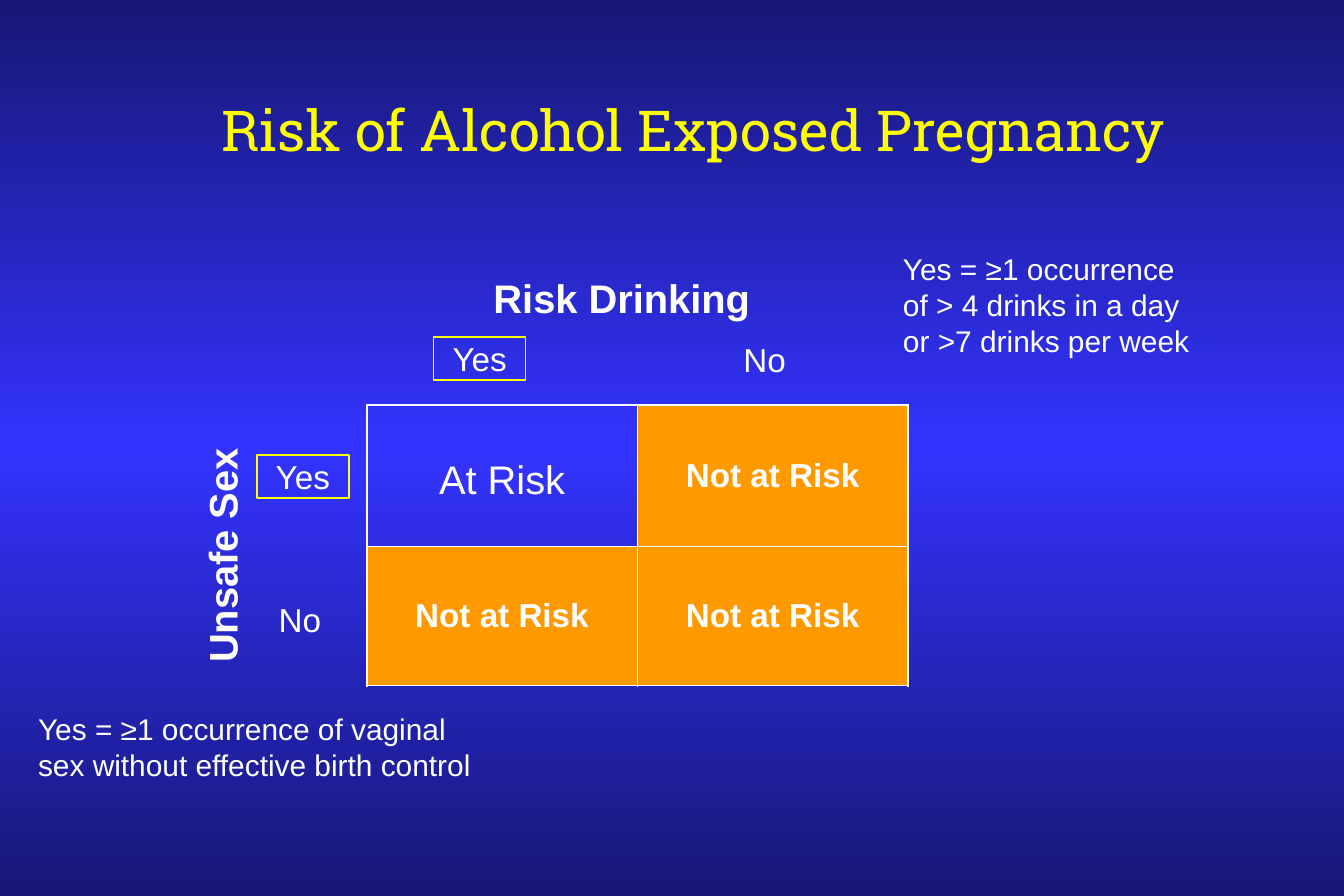
from copy import deepcopy

from pptx import Presentation
from pptx.dml.color import RGBColor
from pptx.enum.shapes import MSO_SHAPE
from pptx.enum.text import MSO_ANCHOR as ANCHOR, PP_ALIGN as ALIGN
from pptx.oxml import parse_xml
from pptx.oxml.ns import nsdecls, qn
from pptx.util import Inches, Pt

NAVY = RGBColor(0x17, 0x17, 0x75)
BLUE = RGBColor(0x33, 0x33, 0xFF)
YELLOW = RGBColor(0xFF, 0xFF, 0x00)
ORANGE = RGBColor(0xFF, 0x99, 0x00)
WHITE = RGBColor(0xFF, 0xFF, 0xFF)


class RiskSlide:
    font = "Arial"
    outer, inner = Pt(1.08), Pt(0.45)

    def __init__(self, prs):
        self.s = prs.slides.add_slide(prs.slide_layouts[6])

    def background(self, edge, middle):
        fill = self.s.background.fill
        fill.gradient()
        fill.gradient_angle = 90
        for stop, color, position in zip(fill.gradient_stops, (edge, middle), (0, 0.5)):
            stop.color.rgb = color
            stop.position = position
        stops = self.s.element.find(".//" + qn("a:gsLst"))
        last = deepcopy(stops[0])
        last.set("pos", "100000")
        stops.append(last)

    def add_lines(self, tf, text, align=ALIGN.CENTER, color=WHITE, **style):
        for i, line in enumerate(text.split("\n")):
            p = tf.paragraphs[0] if i == 0 else tf.add_paragraph()
            p.alignment = align
            r = p.add_run()
            r.text = line
            r.font.color.rgb = color
            for name, value in {"name": self.font, **style}.items():
                setattr(r.font, name, value)

    def text(self, box, text, anchor=ANCHOR.MIDDLE, wrap=False, rotation=0, **style):
        sp = self.s.shapes.add_textbox(*map(Inches, box))
        sp.rotation = rotation
        tf = sp.text_frame
        tf.word_wrap = wrap
        tf.vertical_anchor = anchor
        self.add_lines(tf, text, **style)

    def note(self, box, text):
        self.text(box, text, ANCHOR.TOP, True, align=ALIGN.LEFT, size=Pt(18))

    def framed(self, box, text):
        sp = self.s.shapes.add_shape(MSO_SHAPE.RECTANGLE, *map(Inches, box))
        sp.shadow.inherit = False
        sp.fill.background()
        sp.line.color.rgb = YELLOW
        sp.line.width = Pt(1)
        tf = sp.text_frame
        tf.word_wrap = False
        tf.vertical_anchor = ANCHOR.MIDDLE
        self.add_lines(tf, text, size=Pt(20))

    def border(self, cell, side, width):
        cell._tc.get_or_add_tcPr().append(parse_xml(
            f'<a:{side} {nsdecls("a")} w="{width}"><a:solidFill>'
            f'<a:srgbClr val="{WHITE}"/></a:solidFill></a:{side}>'))

    def matrix(self, box, rows, heights):
        size = len(rows)
        table = self.s.shapes.add_table(size, size, *map(Inches, box)).table
        table.first_row = table.horz_banding = False
        for row, height in zip(table.rows, heights):
            row.height = Inches(height)
        for y, row in enumerate(rows):
            for x, text in enumerate(row):
                cell = table.cell(y, x)
                edges = {"lnL": x == 0, "lnR": x == size - 1,
                         "lnT": y == 0, "lnB": y == size - 1}
                for side, outside in edges.items():
                    self.border(cell, side, self.outer if outside else self.inner)
                cell.vertical_anchor = ANCHOR.MIDDLE
                if text == "At Risk":
                    cell.fill.background()
                    cell.margin_top = Inches(0.13)
                    self.add_lines(cell.text_frame, text, size=Pt(24))
                else:
                    cell.fill.solid()
                    cell.fill.fore_color.rgb = ORANGE
                    self.add_lines(cell.text_frame, text, size=Pt(20), bold=True)


def main():
    prs = Presentation()
    prs.slide_width, prs.slide_height = Inches(11.25), Inches(7.5)
    risk = RiskSlide(prs)
    risk.background(NAVY, BLUE)
    risk.text((0.82, 0.58, 9.97, 1), "Risk of Alcohol Exposed Pregnancy", wrap=True,
              color=YELLOW, name="Roboto Slab", size=Pt(34))
    risk.matrix((3.07, 3.39, 4.53, 2.35),
                [("At Risk", "Not at Risk"), ("Not at Risk", "Not at Risk")],
                (1.18, 1.17))
    for left, top in ((3.63, 2.82), (2.15, 3.81)):
        risk.framed((left, top, 0.77, 0.36), "Yes")
    for left, top in ((5.97, 2.85), (2.08, 5.02)):
        risk.text((left, top, 0.86, 0.32), "No", size=Pt(20))
    heading = {"size": Pt(24), "bold": True}
    risk.text((3.5, 2.26, 3.41, 0.46), "Risk Drinking", **heading)
    risk.text((0.53, 4.39, 2.65, 0.52), "Unsafe Sex", rotation=270, **heading)
    risk.note((0.22, 5.9, 3.99, 0.7),
              "Yes = ≥1 occurrence of vaginal sex without effective birth control")
    risk.note((7.46, 2.05, 3.51, 1),
              "Yes = ≥1 occurrence\nof > 4 drinks in a day\nor >7 drinks per week")
    prs.save("out.pptx")


if __name__ == "__main__":
    main()
